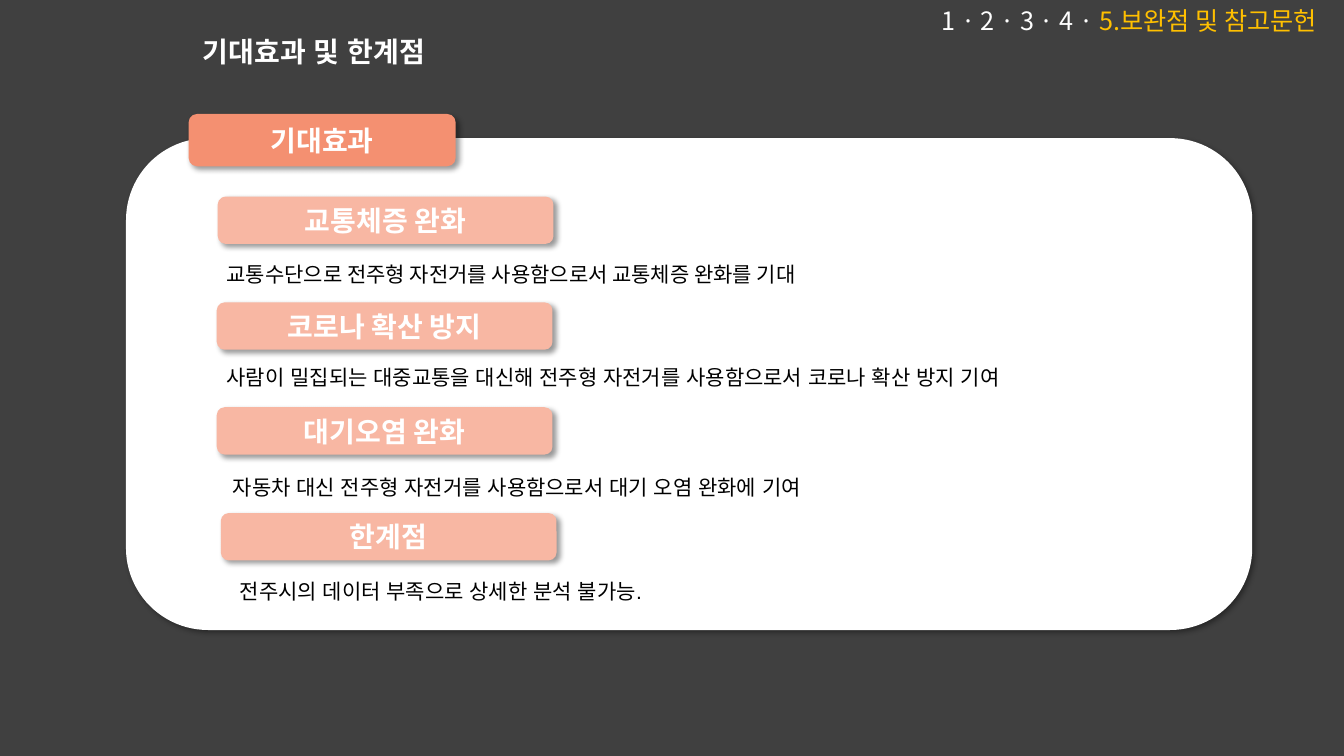
"""Build the slide on expected effects and limitations."""
from dataclasses import dataclass

from lxml.etree import SubElement
from pptx import Presentation
from pptx.dml.color import RGBColor
from pptx.enum.shapes import MSO_SHAPE
from pptx.enum.text import MSO_ANCHOR, MSO_AUTO_SIZE, PP_ALIGN
from pptx.oxml import parse_xml
from pptx.oxml.ns import nsdecls, qn
from pptx.util import Inches, Pt

NOTO = "Noto Sans CJK KR"
DARK, WHITE, BLACK, GOLD = "404040", "FFFFFF", "000000", "FFC000"
CORAL, PINK = "F49071", "F8B7A3"
SHADOW = (
    f'<a:effectLst {nsdecls("a")}><a:outerShdw blurRad="50800" dist="38100" '
    'dir="2700000" algn="tl" rotWithShape="0"><a:srgbClr val="000000">'
    '<a:alpha val="40000"/></a:srgbClr></a:outerShdw></a:effectLst>'
)
BADGE_FORMAT = {"size": Pt(20), "name": NOTO, "bold": True}
TITLE_FORMAT = {"size": Pt(20), "name": "Arial", "bold": True}
NAV_FORMAT = {"size": Pt(18), "name": NOTO}


@dataclass
class Box:
    """Position and size in inches."""
    left: float
    top: float
    width: float
    height: float

    def lengths(self) -> list:
        """Return the four lengths for a shape call."""
        return [Inches(v) for v in (self.left, self.top, self.width, self.height)]


@dataclass
class Topic:
    """A badge with the caption below it."""
    name: str
    badge_left: float
    badge_top: float
    caption: str
    caption_left: float
    caption_top: float
    caption_width: float = 8.49
    font: str = "Arial"


TOPICS = [
    Topic("교통체증 완화", 2.16, 1.95,
          "교통수단으로 전주형 자전거를 사용함으로서 교통체증 완화를 기대",
          2.15, 2.55, 6.84, NOTO),
    Topic("코로나 확산 방지", 2.15, 3,
          "사람이 밀집되는 대중교통을 대신해 전주형 자전거를 사용함으로서 코로나 확산 방지 기여",
          2.15, 3.57),
    Topic("대기오염 완화", 2.15, 4.04,
          "자동차 대신 전주형 자전거를 사용함으로서 대기 오염 완화에 기여", 2.21, 4.66),
    Topic("한계점", 2.19, 5.09, "전주시의 데이터 부족으로 상세한 분석 불가능.", 2.28, 5.69),
]


def rgb(color: str) -> RGBColor:
    """Turn a hex string into a colour."""
    return RGBColor.from_string(color)


def add_run(p, text: str, color: str, formats: dict) -> None:
    """Append a formatted run to a paragraph."""
    r = p.add_run()
    r.text = text
    for key, value in formats.items():
        setattr(r.font, key, value)
    r.font.color.rgb = rgb(color)
    SubElement(r.font._element, qn("a:ea")).set("typeface", formats["name"])


def add_panel(s, box: Box, color: str, text: str = "") -> None:
    """Draw a shadowed rounded rectangle, with a centred label if given."""
    sp = s.shapes.add_shape(MSO_SHAPE.ROUNDED_RECTANGLE, *box.lengths())
    sp.fill.solid()
    sp.fill.fore_color.rgb = rgb(color)
    sp.line.fill.background()
    sp._element.spPr.append(parse_xml(SHADOW))
    if text:
        tf = sp.text_frame
        tf.vertical_anchor = MSO_ANCHOR.MIDDLE
        p = tf.paragraphs[0]
        p.alignment = PP_ALIGN.CENTER
        add_run(p, text, WHITE, BADGE_FORMAT)


def add_text(s, box: Box, runs: list[tuple[str, str]], formats: dict,
             wrap: bool = True, spacing: float | None = None) -> None:
    """Draw a text box from (text, colour) runs."""
    tf = s.shapes.add_textbox(*box.lengths()).text_frame
    tf.word_wrap = wrap
    tf.auto_size = MSO_AUTO_SIZE.SHAPE_TO_FIT_TEXT
    p = tf.paragraphs[0]
    p.line_spacing = spacing
    for text, color in runs:
        add_run(p, text, color, formats)


def main() -> None:
    """Compose and save the slide."""
    prs = Presentation()
    prs.slide_width, prs.slide_height = Inches(13.33), Inches(7.5)
    s = prs.slides.add_slide(prs.slide_layouts[6])
    s.background.fill.solid()
    s.background.fill.fore_color.rgb = rgb(DARK)

    add_panel(s, Box(1.25, 1.37, 11.17, 4.88), WHITE)
    add_text(s, Box(1.91, 0.33, 8.03, 0.4), [("기대효과 및 한계점", WHITE)],
             TITLE_FORMAT, spacing=0.9)
    add_panel(s, Box(1.87, 1.13, 2.65, 0.52), CORAL, "기대효과")
    for t in TOPICS:
        add_text(s, Box(t.caption_left, t.caption_top, t.caption_width, 0.34),
                 [(t.caption, BLACK)], {"size": Pt(15), "name": t.font})
        add_panel(s, Box(t.badge_left, t.badge_top, 3.33, 0.47), PINK, t.name)
    add_text(s, Box(9.24, 0, 4.06, 0.4),
             [("1 · 2 · 3 · 4 · ", WHITE), ("5.보완점 및 참고문헌", GOLD)],
             NAV_FORMAT, wrap=False)
    prs.save("out.pptx")


if __name__ == "__main__":
    main()
